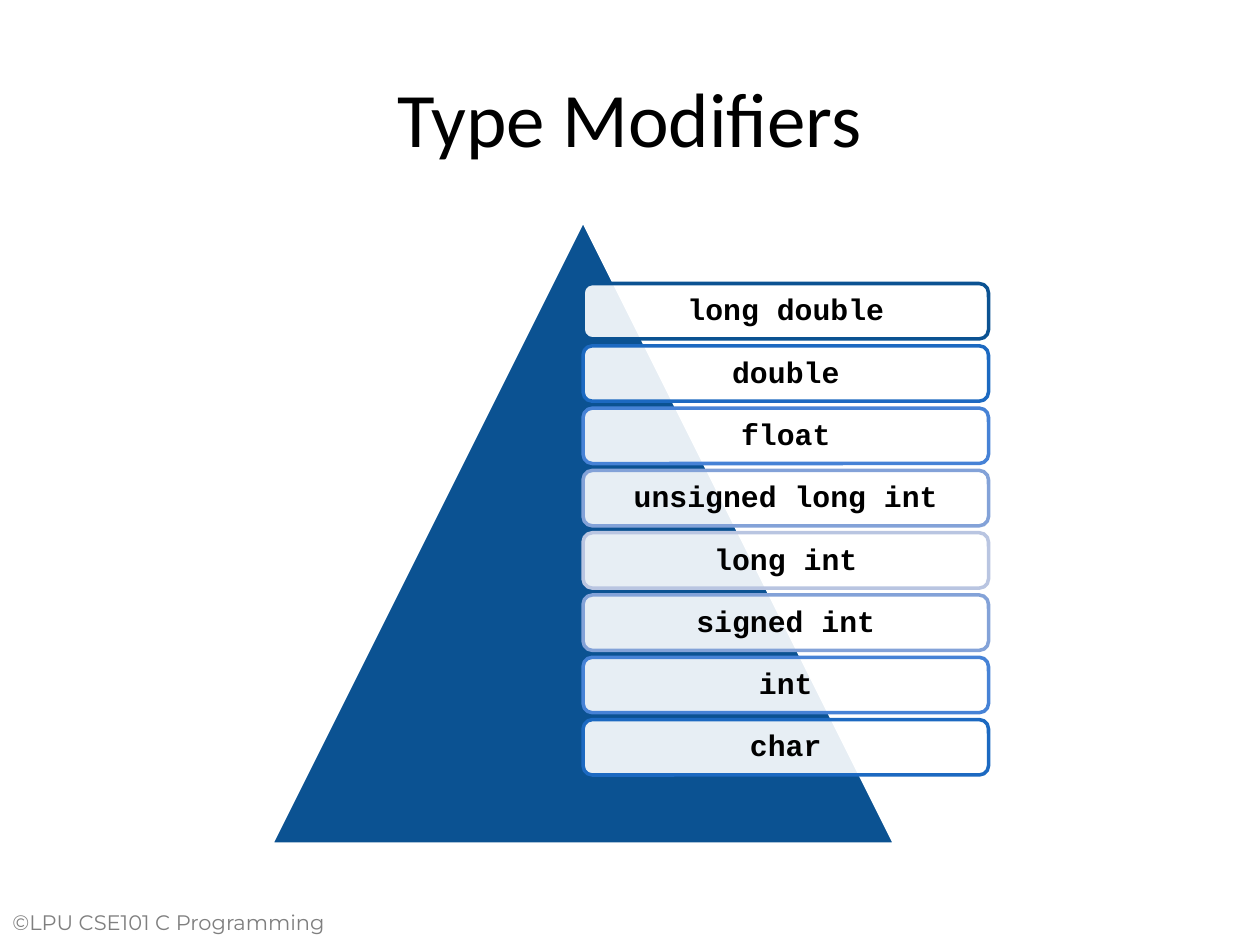
import dataclasses

import lxml.etree
import pptx
import pptx.dml.color
import pptx.enum.shapes
import pptx.enum.text
import pptx.oxml.ns
import pptx.util

Pt = pptx.util.Pt
Align = pptx.enum.text.PP_ALIGN
Anchor = pptx.enum.text.MSO_ANCHOR
Preset = pptx.enum.shapes.MSO_SHAPE


@dataclasses.dataclass(frozen=True)
class Theme:
    black: str = "000000"
    white: str = "FFFFFF"
    grey: str = "7F7F7F"
    navy: str = "0B5292"
    blue: str = "1C69C1"
    mid_blue: str = "4682D6"
    soft_blue: str = "83A2D8"
    pale_blue: str = "B9C5E1"
    title_size: float = 44
    label_size: float = 17
    footer_size: float = 12
    outline: float = 2
    card_opacity: int = 90


@dataclasses.dataclass(frozen=True)
class Box:
    left: float
    top: float
    width: float
    height: float

    def lengths(self) -> tuple:
        return tuple(Pt(value) for value in dataclasses.astuple(self))


@dataclasses.dataclass(frozen=True)
class TypeCard:
    name: str
    outline: str


THEME = Theme()
FIRST_CARD = Box(333.2, 162, 231.7, 31.65)
CARD_PITCH = 35.6
CARD_INSET = 6.5
CARDS = [
    TypeCard("long double", THEME.navy),
    TypeCard("double", THEME.blue),
    TypeCard("float", THEME.mid_blue),
    TypeCard("unsigned long int", THEME.soft_blue),
    TypeCard("long int", THEME.pale_blue),
    TypeCard("signed int", THEME.soft_blue),
    TypeCard("int", THEME.mid_blue),
    TypeCard("char", THEME.blue),
]


def rgb(value: str) -> pptx.dml.color.RGBColor:
    return pptx.dml.color.RGBColor.from_string(value)


def write(frame, text: str, font: str, size: float, color: str,
          align=Align.LEFT, bold: bool = False) -> None:
    frame.word_wrap = True
    frame.text = text
    paragraph = frame.paragraphs[0]
    paragraph.alignment = align
    for run in paragraph.runs:
        run.font.name = font
        run.font.size = Pt(size)
        run.font.bold = bold
        run.font.color.rgb = rgb(color)


def add_filled(slide, preset, box: Box, fill: str, outline: str):
    shape = slide.shapes.add_shape(preset, *box.lengths())
    shape.shadow.inherit = False
    shape.fill.solid()
    shape.fill.fore_color.rgb = rgb(fill)
    shape.line.color.rgb = rgb(outline)
    shape.line.width = Pt(THEME.outline)
    return shape


def set_opacity(shape, percent: int) -> None:
    qn = pptx.oxml.ns.qn
    color = shape.fill._xPr.find(qn("a:solidFill")).find(qn("a:srgbClr"))
    lxml.etree.SubElement(color, qn("a:alpha")).set("val", str(percent * 1000))


def add_card(slide, card: TypeCard, row: int) -> None:
    box = dataclasses.replace(FIRST_CARD, top=FIRST_CARD.top + row * CARD_PITCH)
    shape = add_filled(slide, Preset.ROUNDED_RECTANGLE, box,
                       THEME.white, card.outline)
    set_opacity(shape, THEME.card_opacity)
    frame = shape.text_frame
    frame.margin_left = frame.margin_right = Pt(CARD_INSET)
    frame.margin_top = frame.margin_bottom = Pt(CARD_INSET)
    frame.vertical_anchor = Anchor.MIDDLE
    write(frame, card.name, "Courier New", THEME.label_size, THEME.black,
          Align.CENTER, bold=True)
    frame.paragraphs[0].line_spacing = 0.9


def main() -> None:
    deck = pptx.Presentation()
    deck.slide_width, deck.slide_height = Pt(720), Pt(540)
    slide = deck.slides.add_slide(deck.slide_layouts[6])

    footer = slide.shapes.add_textbox(*Box(0, 516, 216, 30).lengths())
    write(footer.text_frame, "©LPU CSE101 C Programming", "Montserrat",
          THEME.footer_size, THEME.grey)

    title = slide.shapes.add_textbox(*Box(36, 21.6, 648, 90).lengths())
    title.text_frame.vertical_anchor = Anchor.MIDDLE
    write(title.text_frame, "Type Modifiers", "Calibri",
          THEME.title_size, THEME.black, Align.CENTER)

    add_filled(slide, Preset.ISOSCELES_TRIANGLE, Box(155, 126, 356.4, 356.4),
               THEME.navy, THEME.white)
    for row, card in enumerate(CARDS):
        add_card(slide, card, row)

    deck.save("out.pptx")


if __name__ == "__main__":
    main()
